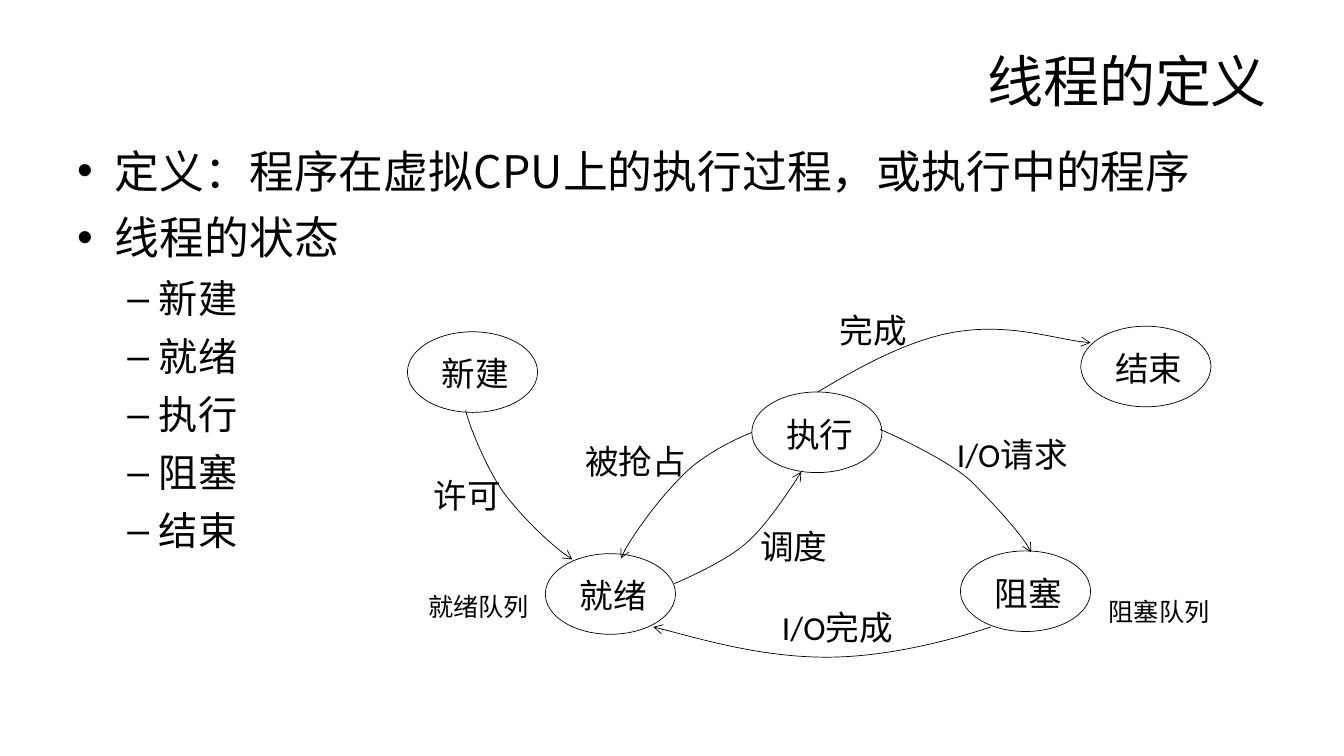
from lxml import etree
from pptx import Presentation
from pptx.dml.color import RGBColor as RGB
from pptx.enum.shapes import MSO_SHAPE as Shape
from pptx.enum.text import MSO_ANCHOR as Anchor, PP_ALIGN as Align
from pptx.oxml.ns import qn
from pptx.util import Pt

COLORS = {"ink": "000000"}
INK = RGB.from_string(COLORS["ink"])
SANS = "Noto Sans CJK SC"

deck = Presentation()
deck.slide_width, deck.slide_height = Pt(960), Pt(540)
slide = deck.slides.add_slide(deck.slide_layouts[6])
shapes = slide.shapes


def style(para, size, face, align=Align.LEFT):
    para.alignment = align
    for run in para.runs:
        run.font.size, run.font.name = Pt(size), face
        run.font.color.rgb = INK
        east = etree.SubElement(run.font._element, qn("a:ea"))
        east.set("typeface", SANS)


def label(text, x, y, w, h, size, face, align=Align.LEFT):
    frame = shapes.add_textbox(Pt(x), Pt(y), Pt(w), Pt(h)).text_frame
    frame.word_wrap = True
    frame.vertical_anchor = Anchor.MIDDLE
    frame.margin_left = frame.margin_right = 0
    frame.margin_top = frame.margin_bottom = 0
    frame.text = text
    style(frame.paragraphs[0], size, face, align)


# Title
label("线程的定义", 55, 21.6, 850, 71.3, 40, "Arial", Align.RIGHT)

# Bullets: level, text
points = [(0, "定义：程序在虚拟CPU上的执行过程，或执行中的程序"), (0, "线程的状态")]
points += [(1, state) for state in ("新建", "就绪", "执行", "阻塞", "结束")]
looks = [(32, 27, 27, "•"), (28, 58.5, 22.5, "–")]  # size, margin, hang, mark
body = shapes.add_textbox(Pt(48), Pt(95), Pt(864), Pt(375)).text_frame
body.word_wrap = True
for i, (level, text) in enumerate(points):
    size, margin, hang, mark = looks[level]
    para = body.add_paragraph() if i else body.paragraphs[0]
    para.text = text
    para.level = level
    para.line_spacing = 1.1
    para.space_before = Pt(size * 0.16 if i else 0)
    props = para._p.get_or_add_pPr()
    props.set("marL", str(Pt(margin)))
    props.set("indent", str(-Pt(hang)))
    etree.SubElement(props, qn("a:buFont")).set("typeface", "Arial")
    etree.SubElement(props, qn("a:buChar")).set("char", mark)
    style(para, size, SANS)

# States: name, left, top
states = [
    ("新建", 291, 237), ("结束", 772, 233), ("就绪", 389.5, 395.5),
    ("阻塞", 686, 393.5), ("执行", 537, 280),
]
for name, x, y in states:
    oval = shapes.add_shape(Shape.OVAL, Pt(x), Pt(y), Pt(93), Pt(57.6))
    oval.shadow.inherit = False
    oval.fill.background()
    oval.line.color.rgb, oval.line.width = INK, Pt(0.5)
    frame = oval.text_frame
    frame.margin_left, frame.margin_top = Pt(4), Pt(2)
    frame.margin_right = frame.margin_bottom = 0
    frame.vertical_anchor = Anchor.MIDDLE
    frame.text = name
    style(frame.paragraphs[0], 24, "Calibri", Align.CENTER)

# Transitions: start, then two Bezier segments of three points, in inches
curves = [
    [(4.62, 4.07), (4.65, 4.21), (4.84, 4.69), (5.03, 4.93),
     (5.22, 5.17), (5.54, 5.47), (5.68, 5.55)],
    [(7.46, 4.29), (7.31, 4.35), (6.96, 4.51), (6.75, 4.74),
     (6.53, 4.96), (6.21, 5.4), (6.16, 5.54)],
    [(8.73, 4.26), (8.88, 4.32), (9.43, 4.58), (9.64, 4.78),
     (9.85, 4.99), (10.18, 5.35), (10.23, 5.48)],
    [(9.83, 6.22), (9.56, 6.31), (8.87, 6.52), (8.2, 6.52),
     (7.53, 6.52), (6.82, 6.3), (6.48, 6.22)],
    [(6.69, 5.79), (6.79, 5.75), (7.23, 5.55), (7.4, 5.39),
     (7.58, 5.24), (7.9, 4.77), (7.95, 4.68)],
    [(8.11, 3.89), (8.3, 3.78), (8.9, 3.4), (9.44, 3.3),
     (9.98, 3.2), (10.52, 3.38), (10.82, 3.4)],
]
for curve in curves:
    dots = [(Pt(x * 72), Pt(y * 72)) for x, y in curve]
    pen = shapes.build_freeform(*dots[0])
    pen.add_line_segments(dots[1:], close=False)
    arc = pen.convert_to_shape()
    arc.shadow.inherit = False
    arc.fill.background()
    arc.line.color.rgb, arc.line.width = INK, Pt(0.5)
    # Turn each three line steps into one cubic curve
    steps = arc._element.xpath(".//a:lnTo")
    for i in range(0, len(steps), 3):
        steps[i].addprevious(cubic := etree.Element(qn("a:cubicBezTo")))
        for step in steps[i:i + 3]:
            cubic.append(step[0])
            step.getparent().remove(step)
    line = arc.line._get_or_add_ln()
    etree.SubElement(line, qn("a:tailEnd")).set("type", "arrow")

# Transition labels: text, left, top, width
moves = [
    ("许可", 310, 330.5, 52), ("完成", 600, 212.5, 52),
    ("I/O请求", 683.5, 301, 92), ("I/O完成", 558.5, 425, 92),
    ("调度", 543, 367, 52), ("被抢占", 418, 306, 77),
]
for text, x, y, w in moves:
    label(text, x, y, w, 46, 24, "Calibri")

# Queue labels
for text, x, y in [("就绪队列", 306, 419), ("阻塞队列", 792, 422.5)]:
    label(text, x, y, 76, 29, 18, SANS)

deck.save("out.pptx")
